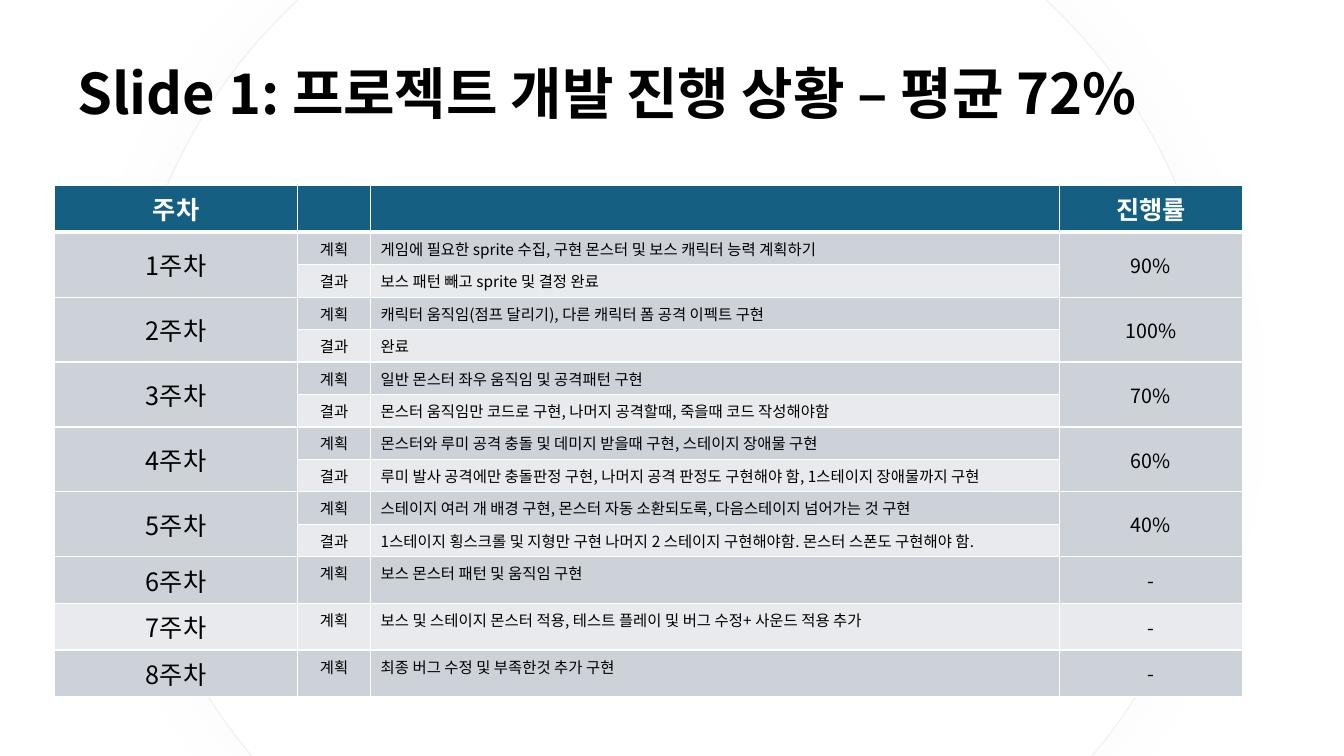
from math import asin, cos, pi, sin, tan

from lxml.etree import SubElement as Sub
from pptx import Presentation
from pptx.dml.color import RGBColor as Rgb
from pptx.enum.text import MSO_ANCHOR as Anchor, PP_ALIGN as Align
from pptx.oxml.ns import qn
from pptx.util import Inches, Pt

WIDE, HIGH = Inches(13.333), Inches(7.5)
FONT = "Noto Sans CJK KR"
HUES = {
    "white": "FFFFFF",
    "black": "000000",
    "head": "156082",
    "plan": "CCD2D8",
    "done": "E8EAED",
    "edge": "EFEFEF",
    "glow": "D9D9D9",
}
TITLE = "Slide 1: 프로젝트 개발 진행 상황 – 평균 72%"
HEADS = ["주차", "", "", "진행률"]
WEEKS = [
    ("90%", "게임에 필요한 sprite 수집, 구현 몬스터 및 보스 캐릭터 능력 계획하기",
     "보스 패턴 빼고 sprite 및 결정 완료"),
    ("100%", "캐릭터 움직임(점프 달리기), 다른 캐릭터 폼 공격 이펙트 구현",
     "완료"),
    ("70%", "일반 몬스터 좌우 움직임 및 공격패턴 구현",
     "몬스터 움직임만 코드로 구현, 나머지 공격할때, 죽을때 코드 작성해야함"),
    ("60%", "몬스터와 루미 공격 충돌 및 데미지 받을때 구현, 스테이지 장애물 구현",
     "루미 발사 공격에만 충돌판정 구현, 나머지 공격 판정도 구현해야 함, 1스테이지 장애물까지 구현"),
    ("40%", "스테이지 여러 개 배경 구현, 몬스터 자동 소환되도록, 다음스테이지 넘어가는 것 구현",
     "1스테이지 횡스크롤 및 지형만 구현 나머지 2 스테이지 구현해야함. 몬스터 스폰도 구현해야 함."),
    ("-", "보스 몬스터 패턴 및 움직임 구현"),
    ("-", "보스 및 스테이지 몬스터 적용, 테스트 플레이 및 버그 수정+ 사운드 적용 추가"),
    ("-", "최종 버그 수정 및 부족한것 추가 구현"),
]
COLS = [18.1, 5.43, 51.25, 13.62]
HEAD, PAIR, LONE = 4.93, 4.13, 3.1


def share(part, whole):
    return round(whole * part / 100)


def box(x, y, w, h):
    return share(x, WIDE), share(y, HIGH), share(w, WIDE), share(h, HIGH)


def hue(name):
    return Rgb.from_string(HUES[name])


def write(frame, text, size, tint="black", bold=False, align=Align.CENTER):
    frame.text = text
    para = frame.paragraphs[0]
    para.alignment = align
    font = para.font
    font.size, font.bold, font.name = Pt(size), bold, FONT
    font.color.rgb = hue(tint)
    return para


def bend(line, start, end, spot):
    pull = 4 / 3 * tan((end - start) / 4)
    dots = [
        (cos(start) - pull * sin(start), sin(start) + pull * cos(start)),
        (cos(end) + pull * sin(end), sin(end) - pull * cos(end)),
        (cos(end), sin(end)),
    ]
    line.tag = qn("a:cubicBezTo")
    line.remove(line[0])
    for dot in dots:
        x, y = spot(*dot)
        Sub(line, qn("a:pt"), x=str(x), y=str(y))


def disc(shapes, radius):
    size = share(radius, HIGH)
    mid_x, mid_y = share(50, WIDE), share(53.2, HIGH)
    top, low = asin(-53.2 / radius), asin(46.8 / radius)
    turns = [top, 0, low, pi - low, pi, pi - top]
    dots = [(round(mid_x + size * cos(t)), round(mid_y + size * sin(t)))
            for t in turns]
    pen = shapes.build_freeform(*dots[0])
    pen.add_line_segments(dots[1:], close=True)
    shape = pen.convert_to_shape()

    def spot(x, y):
        return (round(mid_x + size * x) - shape.left,
                round(mid_y + size * y) - shape.top)

    lines = list(shape._element.iter(qn("a:lnTo")))
    for i in (0, 1, 3, 4):
        bend(lines[i], turns[i], turns[i + 1], spot)
    shape.shadow.inherit = False
    shape.fill.solid()
    shape.fill.fore_color.rgb = hue("white")
    shape.line.fill.background()
    return shape


def glow(shape):
    shape.line.width = Pt(0.75)
    shape.line.color.rgb = hue("edge")
    effects = shape._element.spPr.find(qn("a:effectLst"))
    shade = Sub(effects, qn("a:outerShdw"), blurRad=str(Pt(38)), dist="0",
                dir="0", algn="ctr", rotWithShape="0")
    tint = Sub(shade, qn("a:srgbClr"), val=HUES["glow"])
    Sub(tint, qn("a:alpha"), val="11000")


def label(slide):
    title = slide.shapes.title
    title.left, title.top, title.width, title.height = box(0.6, 1.33, 89.1, 22.8)
    title.text_frame.vertical_anchor = Anchor.MIDDLE
    write(title.text_frame, TITLE, 40, bold=True).line_spacing = 0.9
    slide.shapes._spTree.append(title._element)


def rule(cell, row):
    props = cell._tc.get_or_add_tcPr()
    thick = {"T": 3 if row == 1 else 1, "B": 3 if row == 0 else 1}
    for spot, side in enumerate("LRTB"):
        line = Sub(props, qn(f"a:ln{side}"), w=str(Pt(thick.get(side, 1))))
        fill = Sub(line, qn("a:solidFill"))
        Sub(fill, qn("a:srgbClr"), val=HUES["white"])
        props.insert(spot, line)


def fill_week(table, row, week, rate, notes):
    last = row + len(notes) - 1
    ends = [(0, f"{week}주차", 18), (3, rate, 14)]
    for col, text, size in ends:
        cell = table.cell(row, col)
        if last > row:
            cell.merge(table.cell(last, col))
        cell.vertical_anchor = Anchor.MIDDLE
        write(cell.text_frame, text, size)
    for step, (kind, note) in enumerate(zip(["계획", "결과"], notes)):
        write(table.cell(row + step, 1).text_frame, kind, 11)
        write(table.cell(row + step, 2).text_frame, note, 11, align=Align.LEFT)


def chart_weeks(shapes):
    tall = [HEAD]
    for rate, *notes in WEEKS:
        tall += [PAIR if len(notes) > 1 else LONE] * len(notes)
    place = box(4.05, 24.55, sum(COLS), 62.27)
    frame = shapes.add_table(len(tall), len(COLS), *place)
    table = frame.table
    for col, part in zip(table.columns, COLS):
        col.width = share(part, WIDE)
    for num, (row, part) in enumerate(zip(table.rows, tall)):
        row.height = share(part, HIGH)
        tint = "head" if num == 0 else "plan" if num % 2 else "done"
        for cell in row.cells:
            cell.fill.solid()
            cell.fill.fore_color.rgb = hue(tint)
            rule(cell, num)
    for col, text in enumerate(HEADS):
        write(table.cell(0, col).text_frame, text, 18, "white", True)
    row = 1
    for week, (rate, *notes) in enumerate(WEEKS, 1):
        fill_week(table, row, week, rate, notes)
        row += len(notes)
    frame.height = place[3]


def main():
    deck = Presentation()
    deck.slide_width, deck.slide_height = WIDE, HIGH
    slide = deck.slides.add_slide(deck.slide_layouts[5])
    glow(disc(slide.shapes, 72.65))
    disc(slide.shapes, 72.55)
    label(slide)
    chart_weeks(slide.shapes)
    deck.save("out.pptx")


if __name__ == "__main__":
    main()
